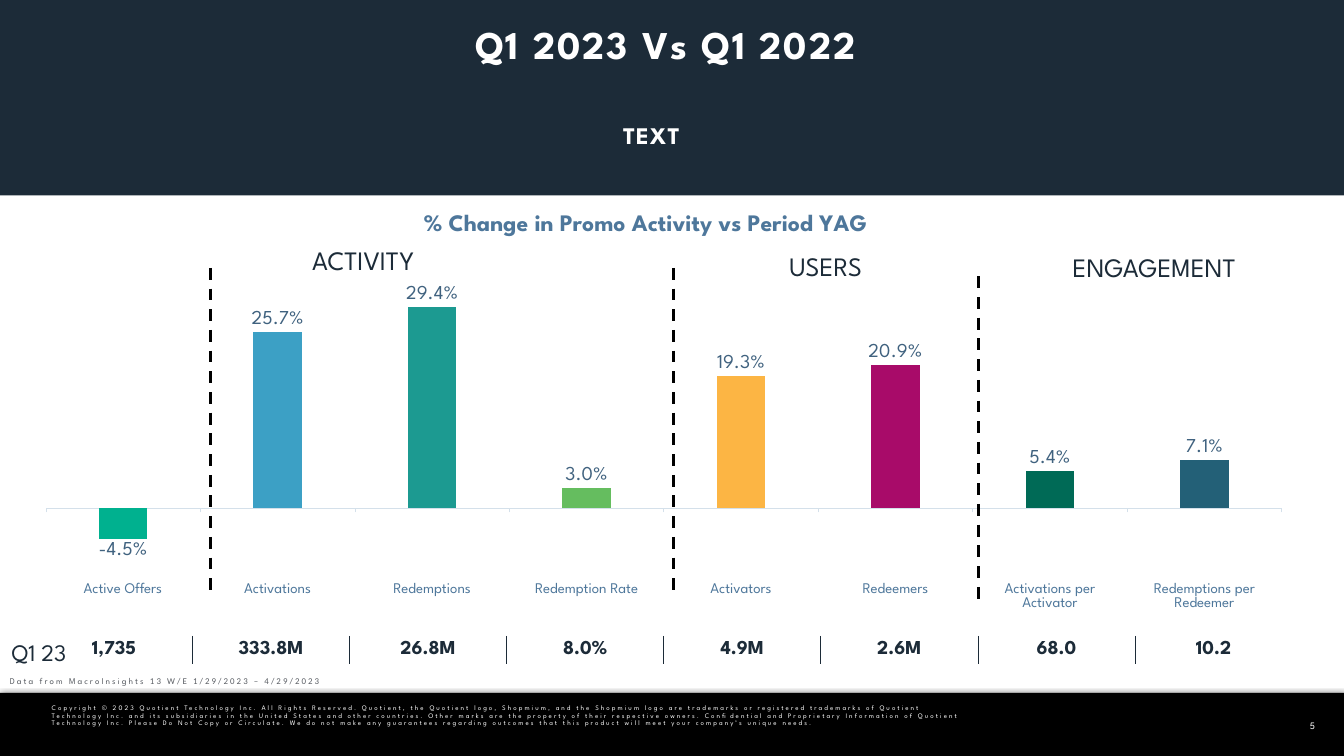
from lxml import etree
from pptx import Presentation
from pptx.chart.data import CategoryChartData
from pptx.dml.color import RGBColor
from pptx.enum.chart import (XL_CHART_TYPE as CHART, XL_LABEL_POSITION as LABEL_POS,
                             XL_TICK_LABEL_POSITION as TICK_POS, XL_TICK_MARK as TICK)
from pptx.enum.dml import MSO_LINE
from pptx.enum.shapes import MSO_CONNECTOR, MSO_SHAPE
from pptx.enum.text import MSO_ANCHOR as ANCHOR, PP_ALIGN as ALIGN
from pptx.oxml import parse_xml
from pptx.oxml.ns import nsdecls, qn
from pptx.util import Inches, Pt

FONT = "League Spartan"
WHITE = RGBColor(0xFF, 0xFF, 0xFF)
BLACK = RGBColor(0x00, 0x00, 0x00)
NAVY = RGBColor(0x1C, 0x2B, 0x38)
BLUE = RGBColor(0x4E, 0x77, 0x9B)
LABEL_BLUE = RGBColor(0x40, 0x62, 0x7F)
AXIS = RGBColor(0xD4, 0xE0, 0xEA)
GREY = RGBColor(0x59, 0x5D, 0x63)
CHART_WIDTH, CHART_HEIGHT = 17.74, 6.05

# Metric, change against last year, bar colour, Q1 23 value
METRICS = [
    ("Active Offers", -0.045, RGBColor(0x00, 0xB1, 0x8F), "1,735"),
    ("Activations", 0.257, RGBColor(0x3C, 0xA0, 0xC5), "333.8M"),
    ("Redemptions", 0.294, RGBColor(0x1C, 0x9A, 0x91), "26.8M"),
    ("Redemption Rate", 0.03, RGBColor(0x65, 0xBD, 0x5F), "8.0%"),
    ("Activators", 0.193, RGBColor(0xFC, 0xB5, 0x44), "4.9M"),
    ("Redeemers", 0.209, RGBColor(0xA8, 0x0B, 0x69), "2.6M"),
    ("Activations per Activator", 0.054, RGBColor(0x00, 0x6A, 0x56), "68.0"),
    ("Redemptions per Redeemer", 0.071, RGBColor(0x23, 0x60, 0x77), "10.2"),
]

prs = Presentation()
prs.slide_width, prs.slide_height = Inches(18.97), Inches(10.67)
slide = prs.slides.add_slide(prs.slide_layouts[6])
shapes = slide.shapes


def write(frame, runs, size, color, bold=False, spc=0, align=ALIGN.CENTER,
          anchor=ANCHOR.MIDDLE, insets=None, wrap=True, spacing=0.9):
    """Fill a text frame with one paragraph made of (text, font) runs."""
    frame.word_wrap, frame.vertical_anchor = wrap, anchor
    if insets:
        sides = ("margin_left", "margin_top", "margin_right", "margin_bottom")
        for side, inset in zip(sides, insets):
            setattr(frame, side, Inches(inset))
    paragraph = frame.paragraphs[0]
    paragraph.alignment, paragraph.line_spacing = align, spacing
    for text, font_name in runs:
        run = paragraph.add_run()
        run.text = text
        for key, value in {"name": font_name, "size": Pt(size), "bold": bold}.items():
            setattr(run.font, key, value)
        run.font.color.rgb = color
        if spc:
            run.font._element.set("spc", str(int(spc * 100)))


def place(parent, index, target, **fractions):
    """Give a chart part a manual layout."""
    for old in parent.findall(qn("c:layout")):
        parent.remove(old)
    layout = parse_xml(f"<c:layout {nsdecls('c')}><c:manualLayout/></c:layout>")
    values = {"layoutTarget": target, "xMode": "edge", "yMode": "edge", **fractions}
    for tag, value in values.items():
        if value is not None:
            etree.SubElement(layout[0], qn(f"c:{tag}")).set("val", str(value))
    parent.insert(index, layout)


# Footer and header bands
for left, top, width, height, color in [(-0.02, 9.78, 18.99, 0.94, BLACK),
                                        (0, 0, 18.97, 2.76, NAVY)]:
    band = shapes.add_shape(MSO_SHAPE.RECTANGLE, Inches(left), Inches(top),
                            Inches(width), Inches(height))
    band.shadow.inherit = False
    band.fill.solid()
    band.fill.fore_color.rgb = color
    band.line.fill.background()
    if color == BLACK:
        band._element.spPr.find(qn("a:effectLst")).append(parse_xml(
            f'<a:outerShdw {nsdecls("a")} blurRad="{Pt(4)}" dist="{Pt(1)}" dir="0">'
            '<a:srgbClr val="000000"><a:alpha val="50000"/></a:srgbClr></a:outerShdw>'))

# Change chart
change_data = CategoryChartData(number_format="0.0%")
change_data.categories = [metric[0] for metric in METRICS]
change_data.add_series("Series 1", [metric[1] for metric in METRICS])
chart = shapes.add_chart(CHART.COLUMN_CLUSTERED, Inches(0.5), Inches(2.91),
                         Inches(CHART_WIDTH), Inches(CHART_HEIGHT), change_data).chart
chart.has_legend = False
chart.font.name, chart.font.size, chart.font.color.rgb = FONT, Pt(10), NAVY
chart.has_title = True
write(chart.chart_title.text_frame, [("% Change in Promo Activity vs Period YAG", FONT)],
      24, BLUE, bold=True, spacing=None)
place(chart.chart_title._element, 1, None, x=5.42 / CHART_WIDTH, y=0.03 / CHART_HEIGHT)

bars = chart.plots[0]
bars.gap_width, bars.overlap, bars.vary_by_categories = 219, -27, False
place(bars._element.getparent(), 0, "inner", x=0.15 / CHART_WIDTH, y=0.88 / CHART_HEIGHT,
      w=17.44 / CHART_WIDTH, h=4.35 / CHART_HEIGHT)
change = bars.series[0]
change.invert_if_negative = False
for i, metric in enumerate(METRICS):
    fill = change.points[i].format.fill
    fill.solid()
    fill.fore_color.rgb = metric[2]

labels = change.data_labels
for key, value in {"show_value": True, "position": LABEL_POS.OUTSIDE_END,
                   "number_format": "0.0%", "number_format_is_linked": False}.items():
    setattr(labels, key, value)
metric_axis, change_axis = chart.category_axis, chart.value_axis
for font, size, color in [(labels.font, 20, LABEL_BLUE),
                          (metric_axis.tick_labels.font, 15, BLUE)]:
    font.name, font.size, font.color.rgb = FONT, Pt(size), color
metric_axis.tick_label_position = TICK_POS.LOW
metric_axis.major_tick_mark = TICK.OUTSIDE
metric_axis.format.line.color.rgb = AXIS
metric_axis.format.line.width = Pt(0.75)
for key, value in {"visible": False, "has_major_gridlines": False,
                   "minimum_scale": -0.1, "maximum_scale": 0.35}.items():
    setattr(change_axis, key, value)

# Dashed dividers between metric groups
for x, top in [(2.97, 3.78), (9.5, 3.78), (13.81, 3.9)]:
    divider = shapes.add_connector(MSO_CONNECTOR.STRAIGHT, Inches(x), Inches(top),
                                   Inches(x), Inches(top + 4.62))
    divider.line.color.rgb, divider.line.width = BLACK, Pt(3)
    divider.line.dash_style = MSO_LINE.DASH
    etree.SubElement(divider._element.spPr, qn("a:effectLst"))

# Q1 23 values
values_table = shapes.add_table(1, len(METRICS), Inches(0.5), Inches(8.98),
                                Inches(CHART_WIDTH), Inches(0.38)).table
values_table.first_row = values_table.horz_banding = False
for i, metric in enumerate(METRICS):
    values_table.columns[i].width = Inches(CHART_WIDTH / len(METRICS))
    cell = values_table.cell(0, i)
    cell.fill.background()
    cell.vertical_anchor = ANCHOR.MIDDLE
    write(cell.text_frame, [(metric[3], FONT)], 20, NAVY, bold=True)
    borders = [("L", NAVY if i else WHITE, 1),
               ("R", NAVY if i < len(METRICS) - 1 else WHITE, 1),
               ("T", WHITE, 1), ("B", WHITE, 3)]
    for position, (side, color, width) in enumerate(borders):
        cell._tc.get_or_add_tcPr().insert(position, parse_xml(
            f'<a:ln{side} {nsdecls("a")} w="{Pt(width)}"><a:solidFill>'
            f'<a:srgbClr val="{color}"/></a:solidFill></a:ln{side}>'))

# Titles, group headings and footer texts
COPYRIGHT = (
    "Copyright © 2023 Quotient Technology Inc. All Rights Reserved. Quotient, the Quotient "
    "logo, Shopmium, and the Shopmium logo are trademarks or registered trademarks of "
    "Quotient Technology Inc. and its subsidiaries in the United States and other countries. "
    "Other marks are the property of their respective owners. Confidential and Proprietary "
    "Information of Quotient Technology Inc. Please Do Not Copy or Circulate. We do not make "
    "any guarantees regarding outcomes that this product will meet your company’s unique needs.")
HEADING = dict(size=27, color=NAVY, insets=[0.06] * 4, wrap=False)
TOP_LEFT = dict(align=ALIGN.LEFT, anchor=ANCHOR.TOP, spc=2.1)
texts = [
    ((4.08, 0.29, 10.7, 0.61), [("Q1 2023 Vs Q1 2022", FONT)],
     dict(size=40, color=WHITE, bold=True, spc=2, anchor=ANCHOR.TOP,
          insets=(0, 0, 0.06, 0.06), spacing=1)),
    ((0.52, 1.38, 17.41, 0.94), [("TEXT", FONT)],
     dict(size=24.2, color=WHITE, bold=True, spc=1, insets=(0, 0.06, 0.06, 0.03),
          spacing=1.2)),
    ((4.34, 3.2, 1.57, 1), [("ACTIVITY", FONT)], HEADING),
    ((10.87, 3.28, 1.57, 1), [("USERS", FONT)], HEADING),
    ((14.79, 3.29, 3, 1), [("ENGAGEMENT", FONT)], HEADING),
    ((0.05, 8.99, 1, 0.47), [("Q1 23", FONT)], {**HEADING, "size": 24}),
    ((0.04, 9.51, 5.18, 0.37), [("Data from MacroInsights ", FONT),
                                ("13 W/E 1/29/2023 – 4/29/2023", "Calibri")],
     dict(size=9, color=GREY, **TOP_LEFT)),
    ((0.73, 9.95, 12.95, 0.4), [(COPYRIGHT, FONT)],
     dict(size=7, color=WHITE, insets=[0] * 4, **TOP_LEFT)),
    ((18.1, 9.81, 0.85, 0.87), [("5", FONT)], dict(size=10, color=WHITE)),
]
for bounds, runs, style in texts:
    box = shapes.add_textbox(*[Inches(length) for length in bounds])
    write(box.text_frame, runs, **style)

prs.save("out.pptx")
